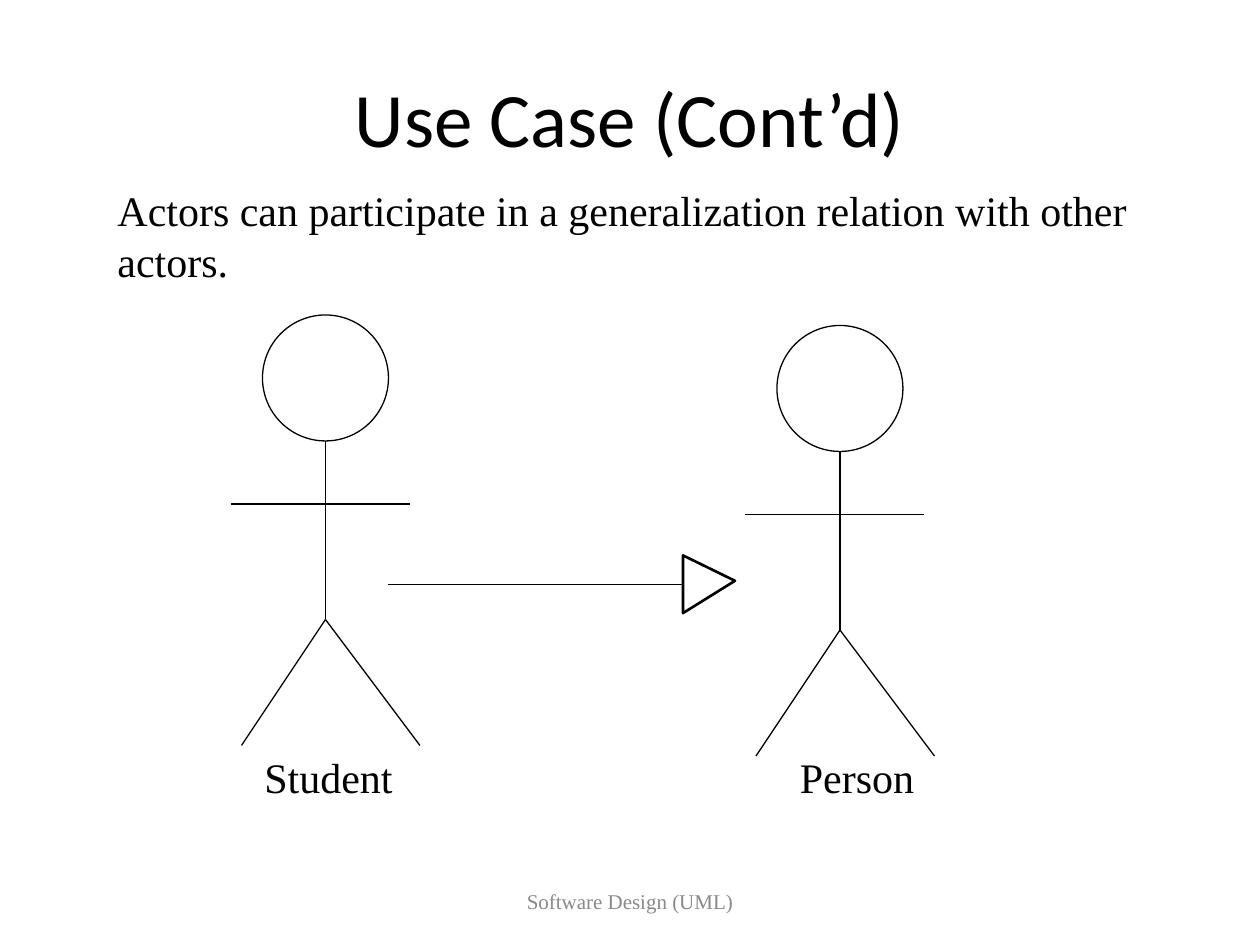
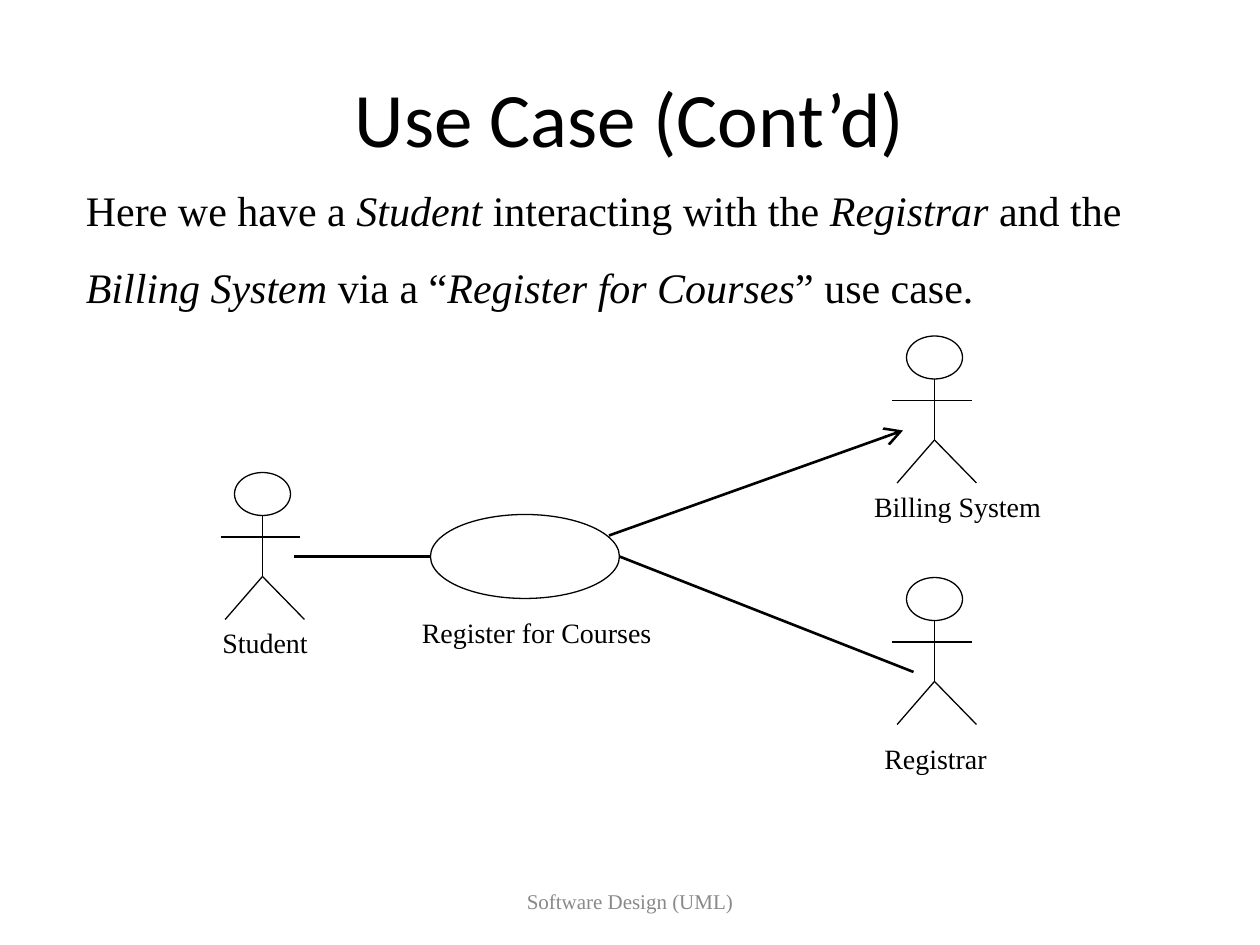
import pptx
import pptx.dml.color
import pptx.enum.shapes
import pptx.enum.text
import pptx.oxml.ns
import pptx.util
from lxml import etree

COLORS = {"ink": "000000", "paper": "FFFFFF", "footer": "898989"}
TITLE_FONT = "Calibri"
BODY_FONT = "Times New Roman"
GRID = pptx.util.Inches(1) // 12
COLUMNS, ROWS = 120, 90
THIN, THICK = 0.75, 1.5
LEFT, CENTER = pptx.enum.text.PP_ALIGN.LEFT, pptx.enum.text.PP_ALIGN.CENTER
TOP, MIDDLE = pptx.enum.text.MSO_ANCHOR.TOP, pptx.enum.text.MSO_ANCHOR.MIDDLE


def grid(*steps):
    """Turn grid steps into slide lengths."""
    return [pptx.util.Emu(round(step * GRID)) for step in steps]


def color(name):
    """Look up a named colour."""
    return pptx.dml.color.RGBColor.from_string(COLORS[name])


def style_outline(shape, width, fill=None):
    """Give a closed shape its outline and optional fill."""
    shape.shadow.inherit = False
    if fill:
        shape.fill.solid()
        shape.fill.fore_color.rgb = color(fill)
    else:
        shape.fill.background()
    shape.line.color.rgb = color("ink")
    shape.line.width = pptx.util.Pt(width)


def add_ellipse(shapes, box, fill=None):
    """Add a thinly outlined ellipse."""
    ellipse = shapes.add_shape(pptx.enum.shapes.MSO_SHAPE.OVAL, *grid(*box))
    style_outline(ellipse, THIN, fill)


def add_line(shapes, start, end, width=THIN, arrow=False):
    """Add a straight line, with an open arrowhead at its end if asked."""
    straight = pptx.enum.shapes.MSO_CONNECTOR.STRAIGHT
    connector = shapes.add_connector(straight, *grid(*start, *end))
    connector.line.color.rgb = color("ink")
    connector.line.width = pptx.util.Pt(width)
    if arrow:
        line_element = connector.line._get_or_add_ln()
        etree.SubElement(line_element, pptx.oxml.ns.qn("a:tailEnd"),
                         type="arrow", w="lg", len="lg")
    etree.SubElement(connector._element.spPr, pptx.oxml.ns.qn("a:effectLst"))


def add_text(slide, box, lines, size, align=LEFT, anchor=MIDDLE, wrap=True,
             font=BODY_FONT, ink="ink", space=0):
    """Add a text box in which words between asterisks are italic."""
    text_frame = slide.shapes.add_textbox(*grid(*box)).text_frame
    text_frame.word_wrap = wrap
    text_frame.vertical_anchor = anchor
    for index, line in enumerate(lines):
        paragraph = text_frame.add_paragraph() if index else text_frame.paragraphs[0]
        paragraph.alignment = align
        if index:
            paragraph.space_before = pptx.util.Pt(space)
        for position, piece in enumerate(line.split("*")):
            if piece:
                run = paragraph.add_run()
                run.text = piece
                run.font.italic = position % 2 == 1
                run.font.name = font
                run.font.size = pptx.util.Pt(size)
                run.font.color.rgb = color(ink)


def add_actor(slide, box):
    """Draw a stick figure scaled to its box."""
    left, top, width, height = box

    def point(across, down):
        """Place a share of the figure on the grid."""
        return left + width * across, top + height * down

    shapes = slide.shapes.add_group_shape().shapes
    head, arms, hip = 12 / 41, 18 / 41, 29 / 41
    add_ellipse(shapes, (*point(1 / 6, 0), width * 2 / 3, height * head))
    add_line(shapes, point(0.5, head), point(0.5, hip))
    for foot in (1, 1 / 18):
        add_line(shapes, point(0.5, hip), point(foot, 1))
    add_line(shapes, point(0, arms), point(17 / 18, arms))


def add_generalization(slide, box):
    """Draw a line that ends in a hollow triangle on the right."""
    left, top, width, height = box
    base, right, bottom = left + width * 0.85, left + width, top + height
    shapes = slide.shapes.add_group_shape().shapes
    tip, upper, lower = (grid(right, top + height * 0.44),
                         grid(base, top), grid(base, bottom))
    builder = shapes.build_freeform(*tip, scale=1.0)
    builder.add_line_segments([upper, lower], close=True)
    style_outline(builder.convert_to_shape(), THICK, "paper")
    add_line(shapes, (base, top + height / 2), (left, top + height / 2))


def add_frame(presentation):
    """Start a slide with the shared title and footer."""
    slide = presentation.slides.add_slide(presentation.slide_layouts[6])
    slide.background.fill.solid()
    slide.background.fill.fore_color.rgb = color("paper")
    add_text(slide, (6, 3.6, 108, 15), ["Use Case (Cont’d)"], 44, CENTER,
             font=TITLE_FONT)
    add_text(slide, (41, 83.4, 38, 4.8), ["Software Design (UML)"], 12, CENTER,
             ink="footer")
    return slide


def add_generalization_slide(presentation):
    """Show one actor as a special case of another."""
    slide = add_frame(presentation)
    add_actor(slide, (22, 30, 18, 41))
    add_generalization(slide, (37, 52.9, 33, 5.5))
    add_actor(slide, (71, 31, 18, 41))
    for name, left, width in (("Student", 24, 17), ("Person", 75, 14)):
        add_text(slide, (left, 71, width, 6), [name], 24, anchor=TOP)
    add_text(slide, (10, 17, 100, 10.8),
             ["Actors can participate in a generalization relation with other actors."],
             24)


def add_registration_slide(presentation):
    """Show three actors around the course registration use case."""
    slide = add_frame(presentation)
    actors = (
        ("Student", 21, 45, (19.25, 59, 12, 4.4)),
        ("Billing System", 85, 32, (81.2, 46, 20, 4.4)),
        ("Registrar", 85, 55, (82.1, 70, 14, 4.4)),
    )
    for name, left, top, label_box in actors:
        add_actor(slide, (left, top, 8, 14))
        add_text(slide, label_box, [name], 16, CENTER, wrap=False)
    add_ellipse(slide.shapes, (41, 49, 18, 8), "paper")
    add_line(slide.shapes, (28, 53), (41, 53), THICK)
    add_line(slide.shapes, (58, 51), (86, 41), THICK, arrow=True)
    add_line(slide.shapes, (59, 53), (87, 64), THICK)
    add_text(slide, (39, 58, 28, 4.4), ["Register for Courses"], 16, anchor=TOP)
    add_text(slide, (7, 17, 102, 13.3), [
        "Here we have a *Student* interacting with the *Registrar* and the",
        "*Billing System* via a “*Register for Courses*” use case.",
    ], 24, wrap=False, space=15)


def main():
    """Build and save the presentation."""
    presentation = pptx.Presentation()
    presentation.slide_width, presentation.slide_height = grid(COLUMNS, ROWS)
    add_generalization_slide(presentation)
    add_registration_slide(presentation)
    presentation.save("out.pptx")


if __name__ == "__main__":
    main()
